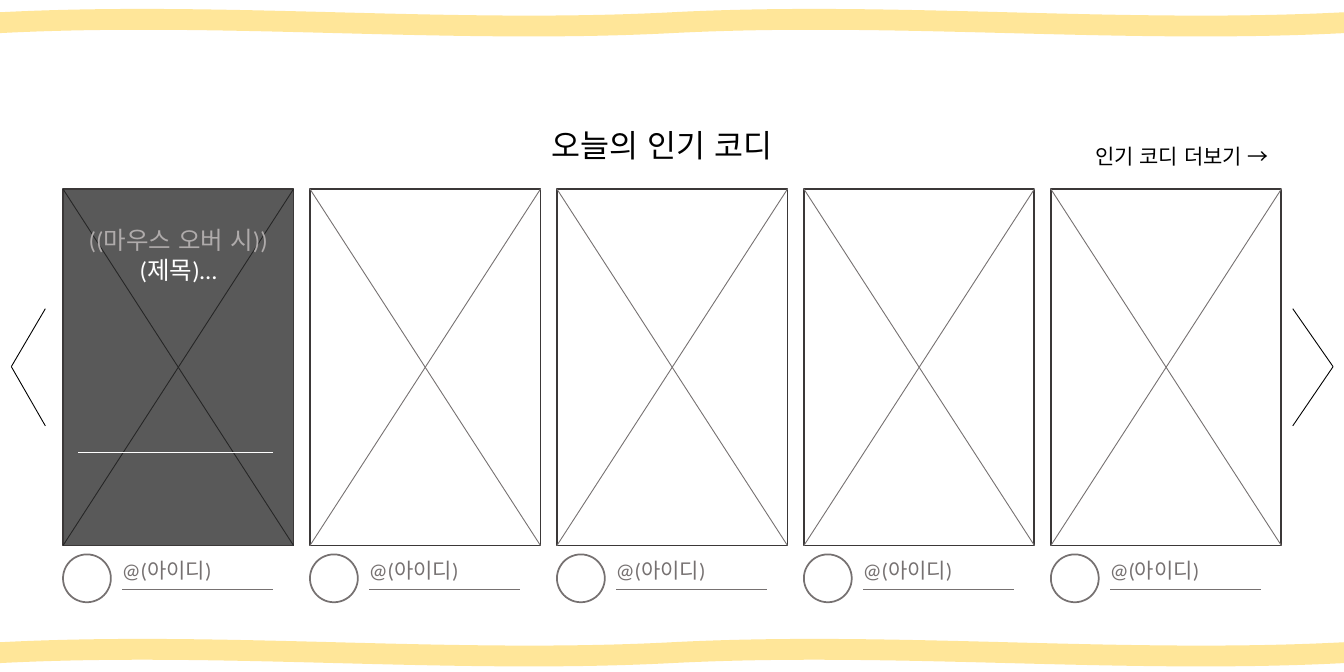
"""Build the popular outfit carousel wireframe slide."""
from lxml import etree
from pptx import Presentation
from pptx.dml.color import RGBColor
from pptx.enum.lang import MSO_LANGUAGE_ID
from pptx.enum.shapes import MSO_CONNECTOR, MSO_SHAPE
from pptx.enum.text import PP_ALIGN
from pptx.oxml.ns import qn
from pptx.util import Inches, Pt

STRAIGHT = MSO_CONNECTOR.STRAIGHT
RECT, OVAL, WAVE = MSO_SHAPE.RECTANGLE, MSO_SHAPE.OVAL, MSO_SHAPE.DOUBLE_WAVE
LEFT, CENTER, RIGHT = PP_ALIGN.LEFT, PP_ALIGN.CENTER, PP_ALIGN.RIGHT
KOREAN = MSO_LANGUAGE_ID.KOREAN

COLORS = {
    "black": "000000", "white": "FFFFFF", "band": "FFE699", "grey": "767171",
    "frame": "3B3838", "overlay": "595959", "cross": "262626", "hint": "AFABAB",
}
FONT = "Calibri"
TITLE = "오늘의 인기 코디"
MORE = "인기 코디 더보기 →"
HOVER = [("((마우스 오버 시))", "hint"), ("(제목)…", "white")]
USER_IDS = ["@(아이디)"] * 5

SLIDE_W, SLIDE_H = 32 / 3, 16 / 3
CARD_X, CARD_Y, CARD_W, CARD_H, PITCH = 0.5, 1.5, 1.83, 2.83, 1.96
FOOT_Y, AVATAR = 4.4, 0.38
BAND_TOPS = (0.07, 5.07)
ARROWS = [(0.36, 0.09), (10.26, 10.58)]
ARROW_YS = (2.45, 2.91, 3.38)


def rgb(name):
    return RGBColor.from_string(COLORS[name])


def add_shape(s, kind, box, fill=None, line=None):
    sp = s.shapes.add_shape(kind, *map(Inches, box))
    sp.shadow.inherit = False
    if fill:
        sp.fill.solid()
        sp.fill.fore_color.rgb = rgb(fill)
    else:
        sp.fill.background()
    if line:
        sp.line.color.rgb = rgb(line)
        sp.line.width = Pt(1)
    else:
        sp.line.fill.background()
    return sp


def add_line(s, x1, y1, x2, y2, color):
    c = s.shapes.add_connector(STRAIGHT, *map(Inches, (x1, y1, x2, y2)))
    c.line.color.rgb = rgb(color)
    c.line.width = Pt(0.5)
    etree.SubElement(c._element.spPr, qn("a:effectLst"))


def add_text(s, box, lines, size, align=LEFT):
    tf = s.shapes.add_textbox(*map(Inches, box)).text_frame
    tf.word_wrap = True
    style = {"name": FONT, "size": Pt(size), "language_id": KOREAN}
    for i, (text, color) in enumerate(lines):
        p = tf.add_paragraph() if i else tf.paragraphs[0]
        p.alignment = align
        r = p.add_run()
        r.text = text
        for key, value in style.items():
            setattr(r.font, key, value)
        r.font.color.rgb = rgb(color)


def add_card(s, x, user_id, hovered):
    right, bottom = x + CARD_W, CARD_Y + CARD_H
    cross = "cross" if hovered else "grey"
    add_shape(s, RECT, (x, CARD_Y, CARD_W, CARD_H),
              "overlay" if hovered else None, "frame")
    add_line(s, x, CARD_Y, right, bottom, cross)
    add_line(s, right, CARD_Y, x, bottom, cross)
    add_shape(s, OVAL, (x, FOOT_Y, AVATAR, AVATAR), line="grey")
    add_line(s, x + 0.47, 4.68, x + 1.67, 4.68, "grey")
    add_text(s, (x + 0.37, 4.38, 1, 0.3), [(user_id, "grey")], 12)


def main():
    prs = Presentation()
    prs.slide_width, prs.slide_height = Inches(SLIDE_W), Inches(SLIDE_H)
    s = prs.slides.add_slide(prs.slide_layouts[6])

    for top in BAND_TOPS:
        band = add_shape(s, WAVE, (0, top, SLIDE_W, 0.22), "band")
        band.adjustments[0] = 0.125

    add_text(s, (4.28, 0.95, 2.08, 0.4), [(TITLE, "black")], 18)
    add_text(s, (8.21, 1.09, 1.96, 0.3), [(MORE, "black")], 12, RIGHT)

    for i, user_id in enumerate(USER_IDS):
        add_card(s, CARD_X + i * PITCH, user_id, i == 0)
    add_text(s, (CARD_X, 1.74, CARD_W, 0.57), HOVER, 14, CENTER)
    add_line(s, 0.62, 3.59, 2.17, 3.59, "white")

    top, middle, bottom = ARROW_YS
    for base, tip in ARROWS:
        add_line(s, base, top, tip, middle, "black")
        add_line(s, tip, middle, base, bottom, "black")

    prs.save("out.pptx")


if __name__ == "__main__":
    main()
